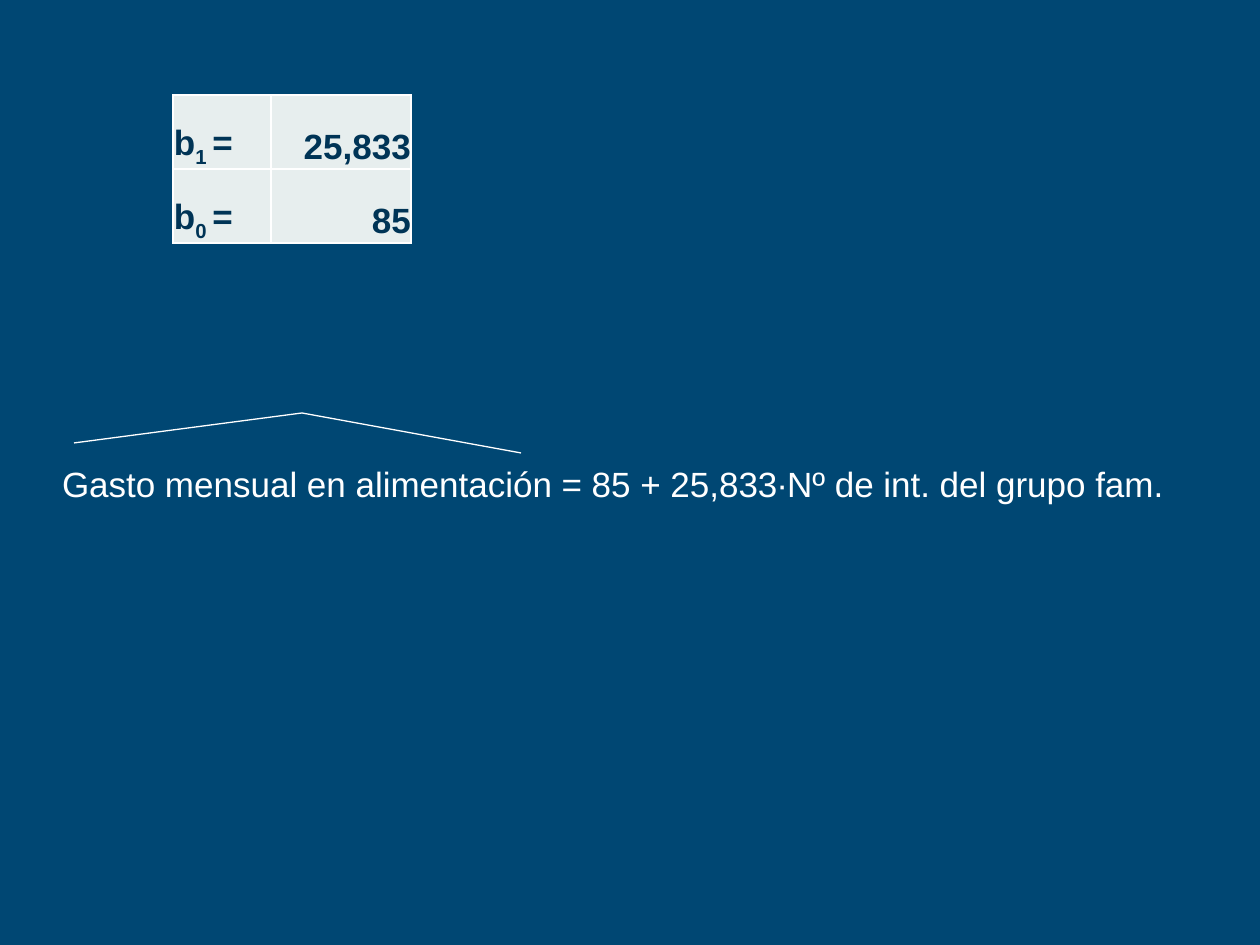
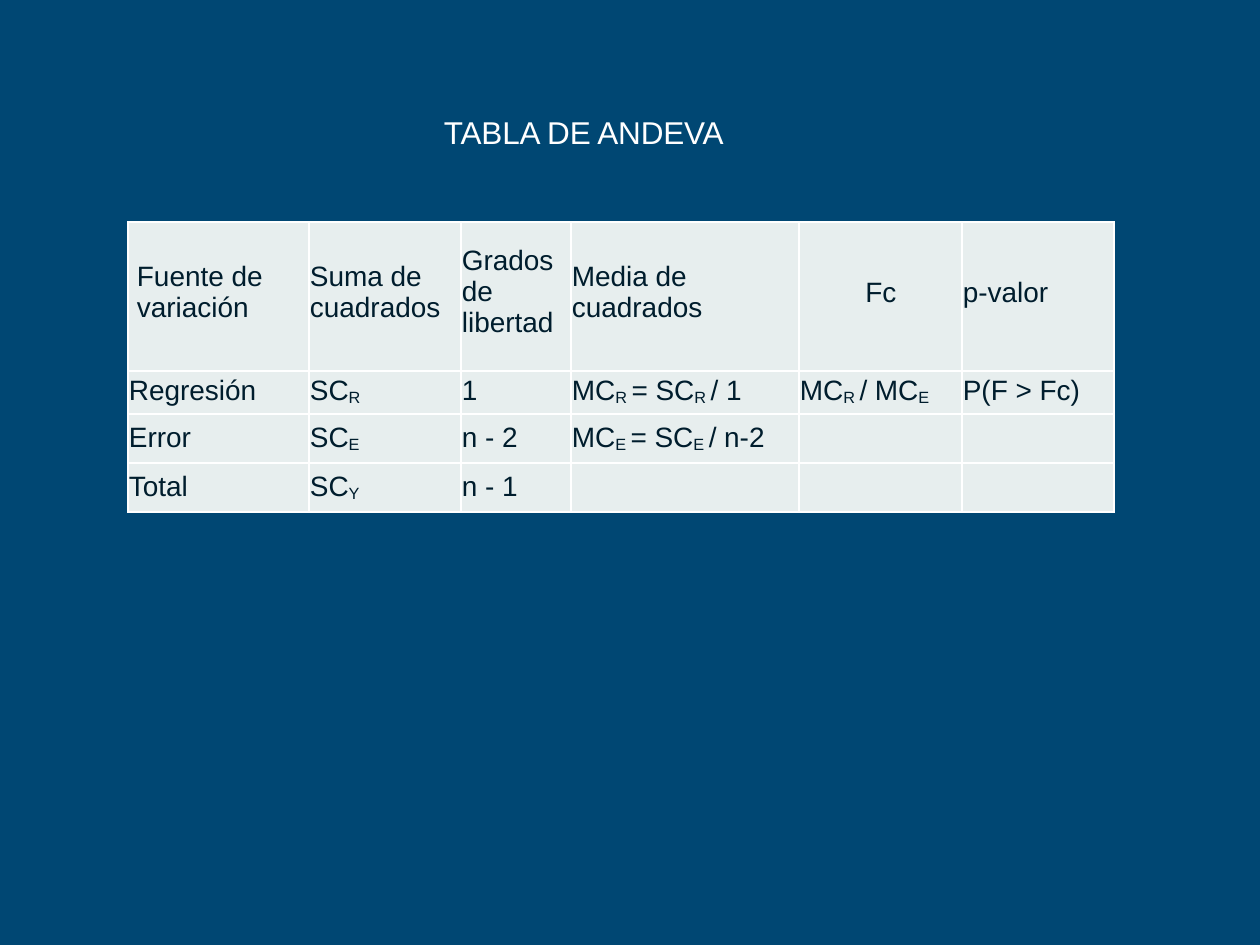
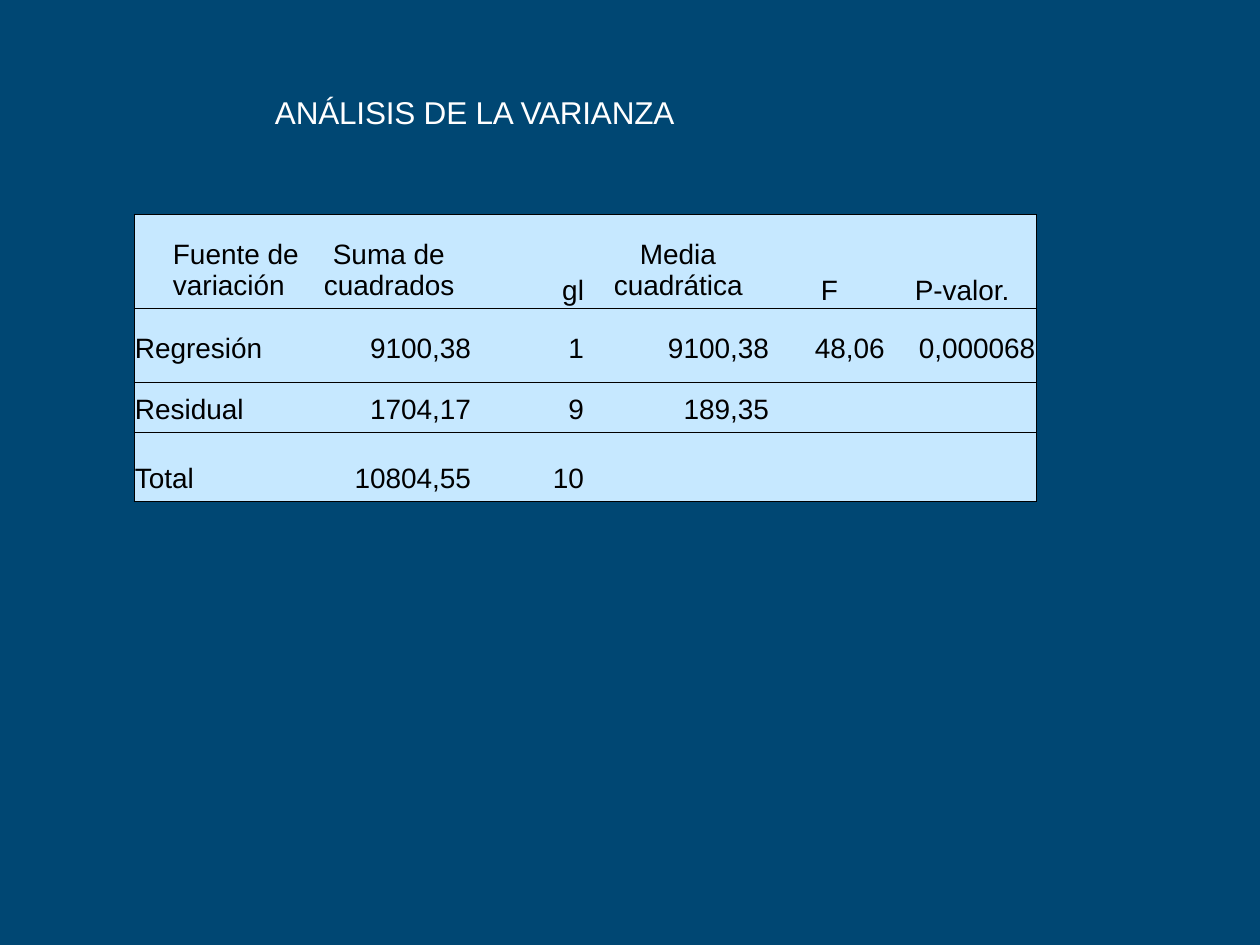
"""Build three slides on a simple regression and its analysis of variance."""
from lxml import etree
from pptx import Presentation
from pptx.dml.color import RGBColor
from pptx.enum.text import PP_ALIGN
from pptx.oxml.ns import qn
from pptx.util import Emu, Pt

PX = 914400 / 126
FONT = "Arial"
LEFT, CENTER, RIGHT = PP_ALIGN.LEFT, PP_ALIGN.CENTER, PP_ALIGN.RIGHT
BLANK_LAYOUT = 6

COLORS = {
    "background": "004773",
    "white": "FFFFFF",
    "black": "000000",
    "navy": "003456",
    "ink": "001D2D",
    "pale_gray": "E7EEEE",
    "pale_blue": "C6E8FF",
}

COEFFICIENTS = {
    "position": (173, 95),
    "columns": (98, 140),
    "rows": [
        (74, 33, ["b_1 _=", "25,833"]),
        (74, 33, ["b_0 _=", "85"]),
    ],
    "size": 20, "bold": True, "color": "navy", "fill": "pale_gray",
    "border": ("white", 1), "inner_verticals": True, "baseline": -24000,
    "column_styles": {1: {"align": RIGHT}},
    "cell_styles": {(0, 0): {"top": 29}, (1, 0): {"top": 29}},
}

ANOVA_FORMULAS = {
    "position": (128, 222),
    "columns": (181, 152, 110, 228, 163, 152),
    "rows": [
        (149, 39, ["Fuente de variación", "Suma de cuadrados", "Grados de libertad",
                   "Media de cuadrados", "Fc", "p-valor"]),
        (43, 4, ["Regresión", "SC_R", "1", "MC_R _= SC_R _/ 1", "MC_R _/ MC_E", "P(F > Fc)"]),
        (49, 8, ["Error", "SC_E", "n - 2", "MC_E _= SC_E _/ n-2", "", ""]),
        (49, 8, ["Total", "SC_Y", "n - 1", "", "", ""]),
    ],
    "size": 16, "bold": False, "color": "ink", "fill": "pale_gray",
    "border": ("white", 1), "inner_verticals": True, "baseline": -11000,
    "column_styles": {},
    "cell_styles": {
        (0, 0): {"left": 9, "indent": -8},
        (0, 2): {"top": 23},
        (0, 4): {"top": 55, "align": CENTER},
        (0, 5): {"top": 55},
    },
}

ANOVA_RESULTS = {
    "position": (134, 214),
    "columns": (170, 208, 87, 194, 107, 137),
    "rows": [
        (94, 25, ["Fuente de variación", "Suma de cuadrados", "gl", "Media cuadrática",
                  "F", "P-valor."]),
        (74, 25, ["Regresión", "9100,38", "1", "9100,38", "48,06", "0,000068"]),
        (45, 12, ["Residual", "1704,17", "9", "189,35", "", ""]),
        (64, 31, ["Total", "10804,55", "10", "", "", ""]),
    ],
    "size": 16, "bold": False, "color": "black", "fill": "pale_blue",
    "border": ("black", 0.5), "inner_verticals": False, "baseline": 0,
    "column_styles": {
        1: {"align": RIGHT, "right": 41},
        2: {"align": RIGHT, "right": 15},
        3: {"align": RIGHT, "right": 24},
        4: {"left": 22},
        5: {"left": 19},
    },
    "cell_styles": {
        (0, 0): {"left": 39, "indent": -15},
        (0, 1): {"left": 20, "indent": 9, "align": LEFT, "right": 0},
        (0, 2): {"top": 61},
        (0, 3): {"left": 15, "indent": 26, "align": LEFT, "right": 0},
        (0, 4): {"top": 61, "left": 28},
        (0, 5): {"top": 61, "left": 15},
    },
}

SLIDES = [
    {
        "table": COEFFICIENTS,
        "text": "Gasto mensual en alimentación = 85 + 25,833∙Nº de int. del grupo fam.",
        "box": (61, 460, 1112, 45), "size": 20, "spacing": -4,
        "bracket": [(74, 443), (302, 413), (521, 453)],
    },
    {
        "table": ANOVA_FORMULAS,
        "text": "TABLA DE ANDEVA",
        "box": (443, 111, 286, 42), "size": 18, "spacing": -10,
    },
    {
        "table": ANOVA_RESULTS,
        "text": "ANÁLISIS DE LA VARIANZA",
        "box": (274, 91, 410, 42), "size": 18, "spacing": -10,
    },
]


def px(length):
    return Emu(round(length * PX))


def rgb(name):
    return RGBColor.from_string(COLORS[name])


def format_run(run, size, color, bold=False):
    run.font.name = FONT
    run.font.size = Pt(size)
    run.font.bold = bold
    run.font.color.rgb = rgb(color)


def set_margins(target, left, top, right):
    target.margin_left, target.margin_top = px(left), px(top)
    target.margin_right, target.margin_bottom = px(right), 0


def add_border(cell, side, border):
    color, width = border or (None, 0)
    line = etree.SubElement(cell._tc.get_or_add_tcPr(), qn(f"a:ln{side}"), w=str(Pt(width)))
    if border is None:
        etree.SubElement(line, qn("a:noFill"))
    else:
        fill = etree.SubElement(line, qn("a:solidFill"))
        etree.SubElement(fill, qn("a:srgbClr"), val=COLORS[color])


def fill_cell(cell, text, top, style, table_data):
    set_margins(cell, style.get("left", 1), style.get("top", top), style.get("right", 0))
    paragraph = cell.text_frame.paragraphs[0]
    paragraph.alignment = style.get("align", LEFT)
    if "indent" in style:
        paragraph._p.get_or_add_pPr().set("indent", str(px(style["indent"])))
    if not text:
        return
    for number, part in enumerate(text.split("_")):
        if not part:
            continue
        run = paragraph.add_run()
        run.text = part
        format_run(run, table_data["size"], table_data["color"], table_data["bold"])
        if number % 2:
            run._r.get_or_add_rPr().set("baseline", str(table_data["baseline"]))


def add_data_table(slide, data):
    columns, rows = data["columns"], data["rows"]
    left, top = data["position"]
    height = sum(row[0] for row in rows)
    table = slide.shapes.add_table(len(rows), len(columns), px(left), px(top),
                                   px(sum(columns)), px(height)).table
    table.first_row = table.horz_banding = False
    for column, width in zip(table.columns, columns):
        column.width = px(width)
    last = len(columns) - 1
    for row_index, (row_height, text_top, texts) in enumerate(rows):
        table.rows[row_index].height = px(row_height)
        for column_index, text in enumerate(texts):
            cell = table.cell(row_index, column_index)
            style = {**data["column_styles"].get(column_index, {}),
                     **data["cell_styles"].get((row_index, column_index), {})}
            fill_cell(cell, text, text_top, style, data)
            shown = {"L": column_index == 0, "R": column_index == last, "T": True, "B": True}
            for side, is_outer in shown.items():
                visible = is_outer or data["inner_verticals"]
                add_border(cell, side, data["border"] if visible else None)
            cell.fill.solid()
            cell.fill.fore_color.rgb = rgb(data["fill"])


def add_text(slide, content):
    shape = slide.shapes.add_textbox(*map(px, content["box"]))
    text_frame = shape.text_frame
    text_frame.word_wrap = True
    set_margins(text_frame, 1, 2, 0)
    text_frame.text = content["text"]
    run = text_frame.paragraphs[0].runs[0]
    format_run(run, content["size"], "white")
    run._r.get_or_add_rPr().set("spc", str(content["spacing"]))


def add_bracket(slide, points):
    builder = slide.shapes.build_freeform(*points[0], scale=PX)
    builder.add_line_segments(points[1:], close=False)
    shape = builder.convert_to_shape()
    shape.shadow.inherit = False
    shape.fill.background()
    shape.line.color.rgb = rgb("white")
    shape.line.width = Pt(0.75)


def main():
    presentation = Presentation()
    presentation.slide_width, presentation.slide_height = px(1260), px(945)
    background = presentation.slide_master.background.fill
    background.solid()
    background.fore_color.rgb = rgb("background")
    for content in SLIDES:
        slide = presentation.slides.add_slide(presentation.slide_layouts[BLANK_LAYOUT])
        add_data_table(slide, content["table"])
        add_text(slide, content)
        if "bracket" in content:
            add_bracket(slide, content["bracket"])
    presentation.save("out.pptx")


if __name__ == "__main__":
    main()
